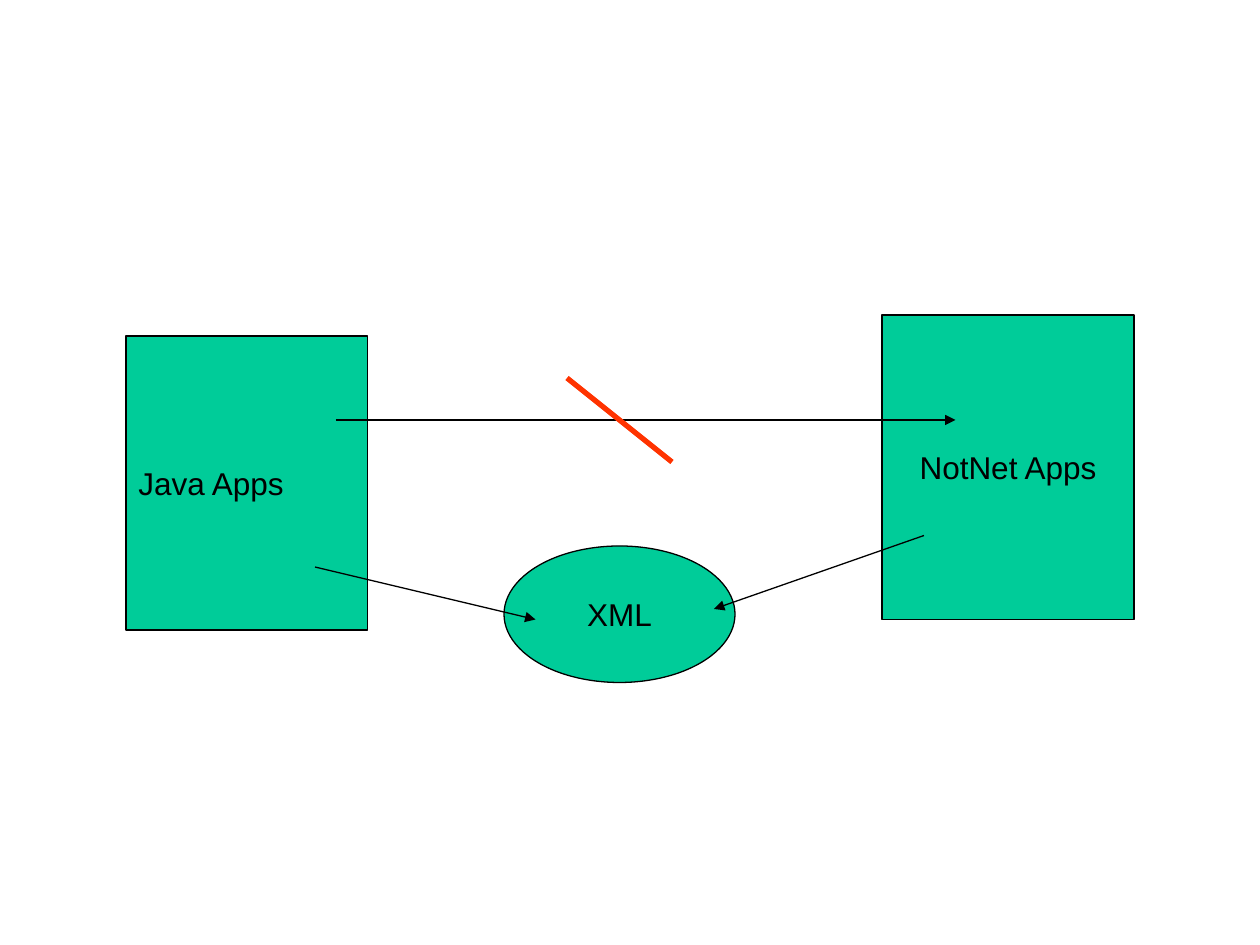
"""Build a slide showing Java and NotNet apps exchanging data through XML."""
from lxml import etree
from pptx import Presentation
from pptx.dml.color import RGBColor
from pptx.enum import shapes, text
from pptx.oxml import ns
from pptx.util import Pt

GREEN = RGBColor(0x00, 0xCC, 0x99)
BLACK = RGBColor(0x00, 0x00, 0x00)
RED = RGBColor(0xFF, 0x33, 0x00)

RECT, OVAL = shapes.MSO_SHAPE.RECTANGLE, shapes.MSO_SHAPE.OVAL
JUSTIFY, CENTER = text.PP_ALIGN.JUSTIFY, text.PP_ALIGN.CENTER

NODES = [
    ("Java Apps", RECT, (72, 192, 138, 168), JUSTIFY),
    ("NotNet Apps", RECT, (504, 180, 144, 174), CENTER),
    ("XML", OVAL, (288, 312, 132, 78), CENTER),
]
ARROWS = [
    (192, 240, 546, 240),
    (528, 306, 408, 348),
    (180, 324, 306, 354),
]
STRIKE = (324, 216, 384, 264)


def add_node(s, label, kind, box, align):
    sp = s.shapes.add_shape(kind, *map(Pt, box))
    sp.shadow.inherit = False
    sp.fill.solid()
    sp.fill.fore_color.rgb = GREEN
    sp.line.color.rgb = BLACK
    sp.line.width = Pt(0.75)
    tf = sp.text_frame
    tf.word_wrap = False
    tf.vertical_anchor = text.MSO_ANCHOR.MIDDLE
    tf.text = label
    p = tf.paragraphs[0]
    p.alignment = align
    font = p.runs[0].font
    font.name, font.size = "Arial", Pt(18)
    font.color.rgb = BLACK


def add_line(s, ends, color, width, arrow):
    cxn = s.shapes.add_connector(shapes.MSO_CONNECTOR.STRAIGHT, *map(Pt, ends))
    cxn.line.color.rgb = color
    cxn.line.width = Pt(width)
    if arrow:
        ln = cxn.line._get_or_add_ln()
        etree.SubElement(ln, ns.qn("a:tailEnd"), type="triangle")
    etree.SubElement(cxn._element.spPr, ns.qn("a:effectLst"))


def main():
    prs = Presentation()
    prs.slide_width, prs.slide_height = Pt(720), Pt(540)
    s = prs.slides.add_slide(prs.slide_layouts[6])
    for node in NODES:
        add_node(s, *node)
    for ends in ARROWS:
        add_line(s, ends, BLACK, 0.75, True)
    add_line(s, STRIKE, RED, 3, False)
    prs.save("out.pptx")


if __name__ == "__main__":
    main()
